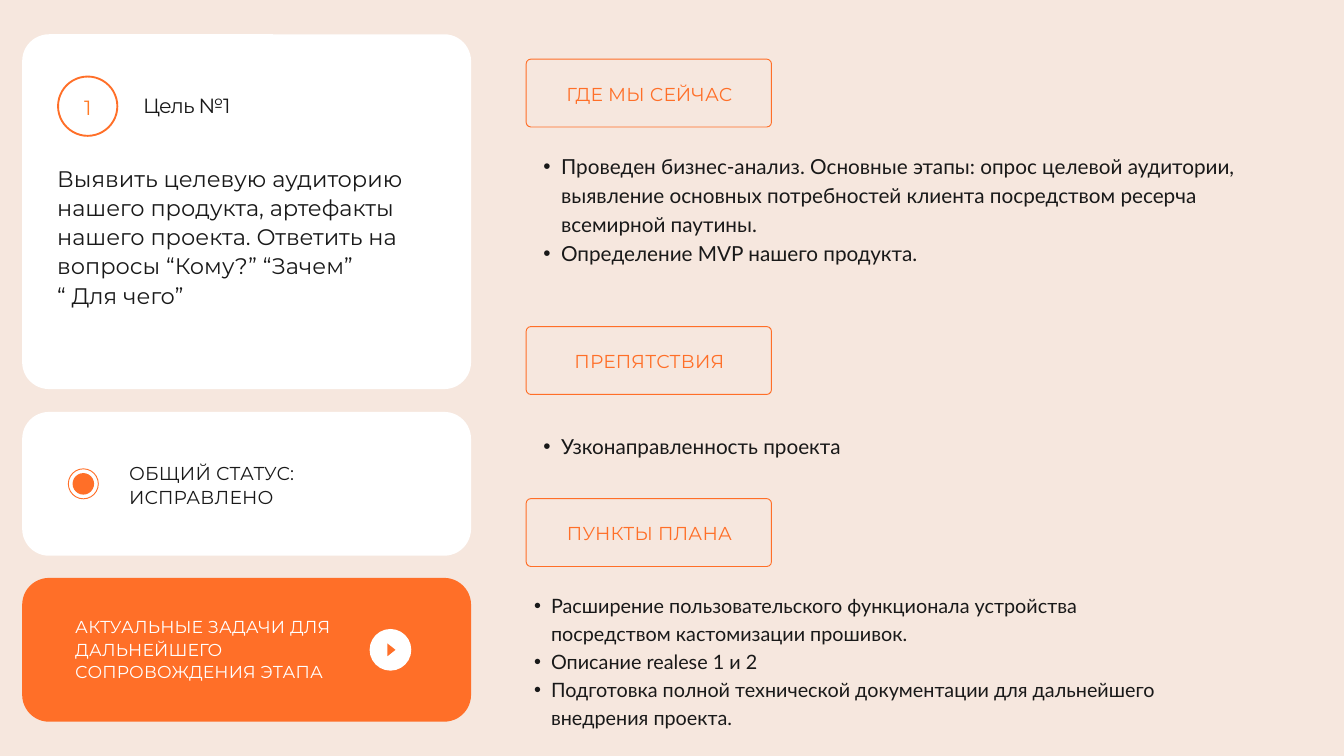
"""Build a project goal slide: status cards on the left, plan sections on the right."""
from lxml.etree import SubElement
from pptx import Presentation
from pptx.dml.color import RGBColor
from pptx.enum.shapes import MSO_SHAPE as Shape
from pptx.enum.text import MSO_AUTO_SIZE, PP_ALIGN as Align
from pptx.oxml.ns import qn
from pptx.util import Inches, Pt

SAND, WHITE, ORANGE, INK = "F6E7DE", "FFFFFF", "FF6F28", "191919"
HEAD, BODY = "Montserrat", "Lato"

CARD_LEFT, CARD_WIDTH, CARD_RADIUS = 0.33, 6.68, 0.4
CARDS = [(0.51, 5.28, WHITE), (6.13, 2.14, WHITE), (8.6, 2.14, ORANGE)]

CIRCLES = [
    (1.305, 1.58, 0.91, None, 2),
    (1.24, 7.2, 0.46, None, 1),
    (1.24, 7.2, 0.32, ORANGE, 0),
    (5.81, 9.67, 0.62, WHITE, 0),
]

CARD_TEXTS = [
    ((1.05, 1.38, 0.51, 0.38), ["1"],
     dict(size=22, leading=28.6, color="FF7B26", spacing=-0.7, align=Align.CENTER)),
    ((2.13, 1.36, 3.1, 0.39), ["Цель №1"], dict(size=22, leading=28.6, spacing=-0.7)),
    ((0.85, 2.42, 5.58, 2.32),
     ["Выявить целевую аудиторию нашего продукта, артефакты нашего проекта. "
      "Ответить на вопросы “Кому?” “Зачем”", "“ Для чего”"],
     dict(size=24.1, leading=31.3)),
    ((1.92, 6.84, 3.07, 0.7), ["ОБЩИЙ СТАТУС: ИСПРАВЛЕНО"],
     dict(size=20, leading=26, spacing=0.2)),
    ((1.12, 9.15, 4.1, 1.01), ["АКТУАЛЬНЫЕ ЗАДАЧИ ДЛЯ ДАЛЬНЕЙШЕГО СОПРОВОЖДЕНИЯ ЭТАПА"],
     dict(size=18.5, leading=24.1, color=WHITE, spacing=0.2)),
]

LABEL_LEFT, LABEL_WIDTH, LABEL_HEIGHT = 7.82, 3.67, 1.03
SECTIONS = [
    (0.87, "ГДЕ МЫ СЕЙЧАС", (7.82, 2.23, 11.4, 1.71),
     ["Проведен бизнес-анализ. Основные этапы: опрос целевой аудитории, выявление "
      "основных потребностей клиента посредством ресерча всемирной паутины.",
      "Определение MVP нашего продукта."],
     dict(size=22.2, leading=31.1, indent=0.53)),
    (4.85, "ПРЕПЯТСТВИЯ", (7.82, 6.4, 11.4, 0.43),
     ["Узконаправленность проекта"],
     dict(size=22.2, leading=31.1, indent=0.53)),
    (7.41, "ПУНКТЫ ПЛАНА", (7.7, 8.78, 9.6, 2.05),
     ["Расширение пользовательского функционала устройства посредством кастомизации прошивок.",
      "Описание realese 1 и 2",
      "Подготовка полной технической документации для дальнейшего внедрения проекта."],
     dict(size=21.2, leading=29.8, indent=0.5)),
]


def rgb(value):
    return RGBColor.from_string(value)


def add_figure(slide, kind, box, fill=None, line=0, radius=None):
    shape = slide.shapes.add_shape(kind, *map(Inches, box))
    shape.shadow.inherit = False
    if fill:
        shape.fill.solid()
        shape.fill.fore_color.rgb = rgb(fill)
    else:
        shape.fill.background()
    if line:
        shape.line.color.rgb = rgb(ORANGE)
        shape.line.width = Pt(line)
    else:
        shape.line.fill.background()
    if radius:
        shape.adjustments[0] = radius / min(box[2:])
    return shape


def add_bullet(paragraph, indent):
    paragraph.level = 1
    properties = paragraph._p.get_or_add_pPr()
    properties.set("marL", str(Inches(indent)))
    properties.set("indent", str(-Inches(indent / 2)))
    SubElement(properties, qn("a:buFont")).set("typeface", "Arial")
    SubElement(properties, qn("a:buChar")).set("char", "•")


def add_text(slide, box, lines, size, leading, font=HEAD, color=INK, spacing=0,
             align=Align.LEFT, indent=0):
    frame = slide.shapes.add_textbox(*map(Inches, box)).text_frame
    frame.margin_left = frame.margin_right = frame.margin_top = frame.margin_bottom = 0
    frame.word_wrap = True
    frame.auto_size = MSO_AUTO_SIZE.SHAPE_TO_FIT_TEXT
    frame.text = "\n".join(lines)
    for paragraph in frame.paragraphs:
        if indent:
            add_bullet(paragraph, indent)
        paragraph.alignment = align
        paragraph.line_spacing = Pt(leading)
        for run in paragraph.runs:
            run.font.name = font
            run.font.size = Pt(size)
            run.font.color.rgb = rgb(color)
            if spacing:
                run._r.get_or_add_rPr().set("spc", str(round(spacing * 100)))


def add_cards(slide):
    for top, height, fill in CARDS:
        add_figure(slide, Shape.ROUNDED_RECTANGLE, (CARD_LEFT, top, CARD_WIDTH, height),
                   fill, radius=CARD_RADIUS)
    for x, y, diameter, fill, line in CIRCLES:
        side = diameter - line / 72
        add_figure(slide, Shape.OVAL, (x - side / 2, y - side / 2, side, side), fill, line)
    play = add_figure(slide, Shape.ISOSCELES_TRIANGLE, (5.73, 9.61, 0.19, 0.12), ORANGE)
    play.rotation = 90
    for box, lines, style in CARD_TEXTS:
        add_text(slide, box, lines, **style)


def add_sections(slide):
    for top, title, box, items, style in SECTIONS:
        add_figure(slide, Shape.ROUNDED_RECTANGLE,
                   (LABEL_LEFT + 0.01, top + 0.01, LABEL_WIDTH - 0.02, LABEL_HEIGHT - 0.02),
                   line=1, radius=0.07)
        add_text(slide, (LABEL_LEFT + 0.31, top + 0.33, 3.07, 0.35), [title], size=20,
                 leading=26, color=ORANGE, spacing=0.2, align=Align.CENTER)
        add_text(slide, box, items, font=BODY, **style)


def main():
    presentation = Presentation()
    presentation.slide_width, presentation.slide_height = Inches(20), Inches(11.25)
    slide = presentation.slides.add_slide(presentation.slide_layouts[6])
    slide.background.fill.solid()
    slide.background.fill.fore_color.rgb = rgb(SAND)
    add_cards(slide)
    add_sections(slide)
    presentation.save("out.pptx")


if __name__ == "__main__":
    main()
